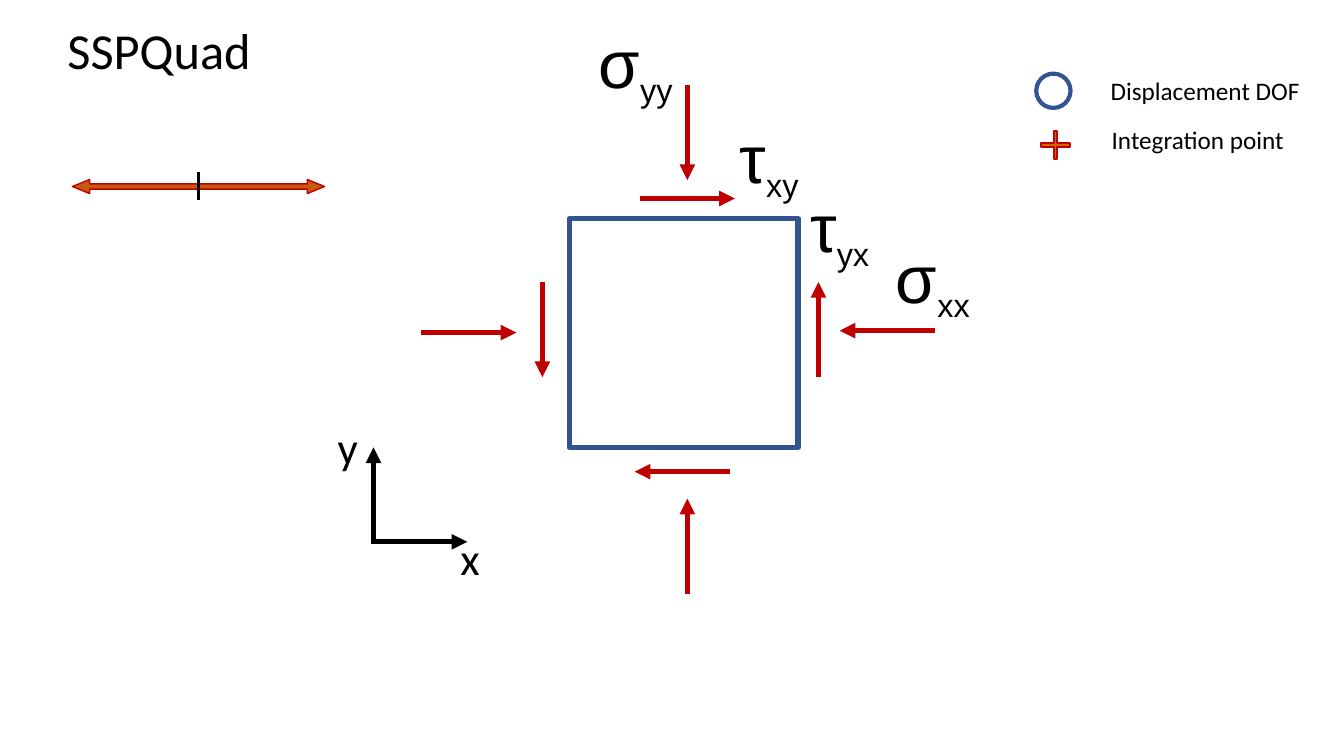
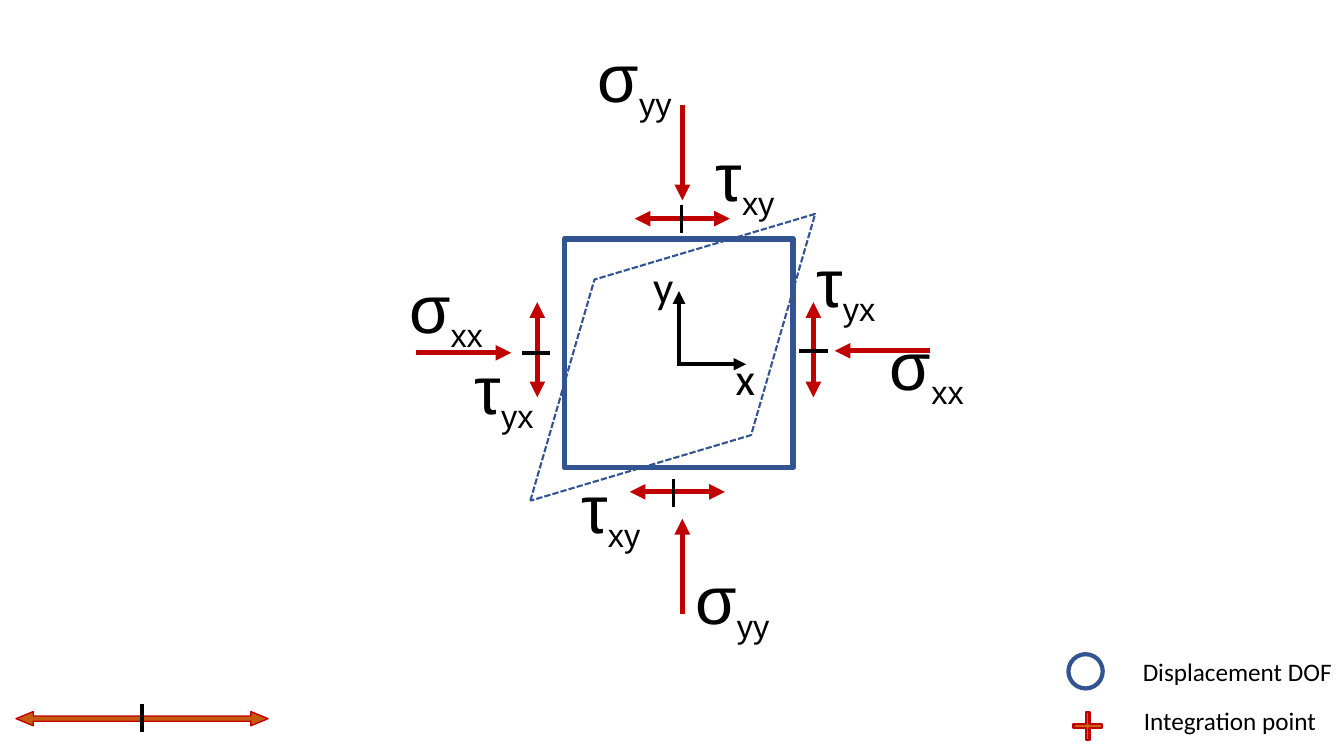
from dataclasses import dataclass

from lxml.etree import SubElement
from pptx import Presentation
from pptx.dml.color import RGBColor
from pptx.enum.dml import MSO_LINE
from pptx.enum.shapes import MSO_CONNECTOR, MSO_SHAPE as SHAPE
from pptx.enum.text import MSO_ANCHOR, MSO_AUTO_SIZE, PP_ALIGN
from pptx.oxml.ns import qn
from pptx.util import Pt


@dataclass(frozen=True)
class Theme:
    black: str = "000000"
    white: str = "FFFFFF"
    blue: str = "325491"
    red: str = "C00000"
    rust: str = "C55A11"
    orange: str = "CC6600"
    text_font: str = "Calibri"
    symbol_font: str = "Arial"
    title_size: int = 36
    axis_size: int = 32
    legend_size: int = 18
    symbol_size: int = 48
    subscript_size: int = 40
    stress_weight: float = 3.75
    tick_weight: float = 2.5


THEME = Theme()
TITLE_ONLY, BLANK = 5, 6
SIDE = 163.4
ARROW = 68
TICK = 20.2
SYMBOL_WIDTHS = {"σ": 70.6, "τ": 62.6}

RIGHT, LEFT, DOWN, UP = (1, 0), (-1, 0), (0, 1), (0, -1)
NORMAL_ARROWS = [
    (84.2, -95.5, DOWN), (84.2, 268, UP),
    (261, 80, LEFT), (-106, 81.4, RIGHT),
]
SHEAR_ARROWS = [
    (50.2, -14.4, RIGHT), (114.6, 180.7, LEFT),
    (-19.4, 45.2, DOWN), (177.8, 113.2, UP),
]

SLIDES = [
    {
        "title": "SSPQuad",
        "square": (406.8, 156.2),
        "legend": (740.2, 52.6),
        "gauge": (51.8, 128.2),
        "two_way_shear": False,
        "axes": {"corner": (266.8, 387), "lengths": (67, 67.5), "weight": 3.75,
                 "x": (321.8, 375.8), "y": (234, 296.6)},
        "stresses": [
            ("τ", "xy", 521.3, 79.2), ("σ", "xx", 632.9, 165.6),
            ("τ", "yx", 571.7, 128.9), ("σ", "yy", 420.5, 11.5),
        ],
        "ticks": [],
        "deformed": None,
    },
    {
        "title": None,
        "square": (403.2, 170.6),
        "legend": (763.2, 467.3),
        "gauge": (11.5, 508.3),
        "two_way_shear": True,
        "axes": {"corner": (485, 260.2), "lengths": (48, 52.2), "weight": 3,
                 "x": (518.4, 247), "y": (459.4, 181.4)},
        "stresses": [
            ("τ", "xy", 504, 92.2), ("σ", "xx", 628.6, 227.5),
            ("τ", "yx", 576, 167.8), ("σ", "yy", 419.8, 21.6),
            ("σ", "xx", 285.1, 186.5), ("τ", "yx", 331.9, 244.8),
            ("σ", "yy", 489.6, 394.6), ("τ", "xy", 408.2, 329.8),
        ],
        "ticks": [(486.7, 156.3, DOWN), (481, 352.1, DOWN),
                  (581, 250.6, RIGHT), (383, 252, RIGHT)],
        "deformed": (336.2, 176.4, 288.7, 157.7, 314.8),
    },
]


def rgb(value):
    return RGBColor.from_string(value)


def add_outline(page, kind, bounds, color, weight, fill=None):
    shape = page.shapes.add_shape(kind, *map(Pt, bounds))
    shape.shadow.inherit = False
    if fill:
        shape.fill.solid()
        shape.fill.fore_color.rgb = rgb(fill)
    else:
        shape.fill.background()
    shape.line.color.rgb = rgb(color)
    shape.line.width = Pt(weight)
    return shape


def add_line(page, start, end, color, weight, ends=()):
    line = page.shapes.add_connector(MSO_CONNECTOR.STRAIGHT, *map(Pt, (*start, *end)))
    line.line.color.rgb = rgb(color)
    line.line.width = Pt(weight)
    properties = line.element.spPr
    outline = properties.find(qn("a:ln"))
    for name in ends:
        SubElement(outline, qn(f"a:{name}"), type="triangle")
    SubElement(properties, qn("a:effectLst"))


def add_arrow(page, x, y, direction, length, color, weight, two_way=False):
    end = (x + direction[0] * length, y + direction[1] * length)
    ends = ("headEnd", "tailEnd") if two_way else ("tailEnd",)
    add_line(page, (x, y), end, color, weight, ends)


def add_tick(page, x, y, direction):
    dx, dy = (part * TICK / 2 for part in direction)
    add_line(page, (x - dx, y - dy), (x + dx, y + dy), THEME.black, THEME.tick_weight)


def style_font(font, name, size):
    font.name = name
    font.size = Pt(size)
    font.color.rgb = rgb(THEME.black)


def add_box(page, bounds):
    box = page.shapes.add_textbox(*map(Pt, bounds))
    box.text_frame.word_wrap = False
    box.text_frame.auto_size = MSO_AUTO_SIZE.SHAPE_TO_FIT_TEXT
    return box


def add_label(page, text, bounds, size):
    para = add_box(page, bounds).text_frame.paragraphs[0]
    para.text = text
    style_font(para.font, THEME.text_font, size)


def add_stress(page, symbol, subscript, left, top):
    box = add_box(page, (left, top, SYMBOL_WIDTHS[symbol], 65.5))
    para = box.text_frame.paragraphs[0]
    for text, size in ((symbol, THEME.symbol_size), (subscript, THEME.subscript_size)):
        span = para.add_run()
        span.text = text
        style_font(span.font, THEME.symbol_font, size)
    list(box.element.iter(qn("a:rPr")))[-1].set("baseline", "-25000")


def add_title(page, text):
    title = page.shapes.title
    title.left, title.top, title.width, title.height = map(Pt, (41, 10.1, 146.9, 51))
    frame = title.text_frame
    frame.text = text
    frame.word_wrap = False
    frame.auto_size = MSO_AUTO_SIZE.NONE
    frame.vertical_anchor = MSO_ANCHOR.TOP
    para = frame.paragraphs[0]
    para.alignment = PP_ALIGN.LEFT
    style_font(para.font, THEME.text_font, THEME.title_size)


def add_legend(page, left, top):
    add_outline(page, SHAPE.OVAL, (left, top, 24.5, 24.5), THEME.blue, 3, THEME.white)
    plus = add_outline(page, SHAPE.CROSS, (left + 3.6, top + 41, 20.2, 20.2),
                       THEME.red, 1.5, THEME.orange)
    plus.adjustments[0] = 0.434
    add_label(page, "Displacement DOF", (left + 46, top - 2.2, 151.2, 28.8), THEME.legend_size)
    add_label(page, "Integration point", (left + 46.8, top + 32.8, 139, 28.8), THEME.legend_size)


def add_gauge(page, left, top):
    width, height = 180, 10.1
    arrow = add_outline(page, SHAPE.LEFT_RIGHT_ARROW, (left, top, width, height),
                        THEME.red, 1, THEME.rust)
    arrow.adjustments[0], arrow.adjustments[1] = 0.369, 1.218
    add_tick(page, left + width / 2, top + height / 2 - 0.5, DOWN)


def add_axes(page, axes):
    x, y = axes["corner"]
    weight = axes["weight"]
    x_length, y_length = axes["lengths"]
    add_arrow(page, x - weight / 2, y, RIGHT, x_length + weight / 2, THEME.black, weight)
    add_arrow(page, x, y, UP, y_length, THEME.black, weight)
    for name in ("x", "y"):
        add_label(page, name, (*axes[name], 29, 46), THEME.axis_size)


def add_element(page, left, top, two_way_shear):
    add_outline(page, SHAPE.RECTANGLE, (left, top, SIDE, SIDE), THEME.blue, 4)
    for arrows, two_way in ((NORMAL_ARROWS, False), (SHEAR_ARROWS, two_way_shear)):
        for x, y, direction in arrows:
            add_arrow(page, left + x, top + y, direction, ARROW,
                      THEME.red, THEME.stress_weight, two_way)


def build_slide(deck, content):
    title = content["title"]
    page = deck.slides.add_slide(deck.slide_layouts[TITLE_ONLY if title else BLANK])
    if title:
        add_title(page, title)
    add_legend(page, *content["legend"])
    add_gauge(page, *content["gauge"])
    add_element(page, *content["square"], content["two_way_shear"])
    add_axes(page, content["axes"])
    for stress in content["stresses"]:
        add_stress(page, *stress)
    if content["deformed"]:
        *bounds, angle = content["deformed"]
        diamond = add_outline(page, SHAPE.DIAMOND, bounds, THEME.blue, 1.5)
        diamond.rotation = angle
        diamond.line.dash_style = MSO_LINE.SQUARE_DOT
    for tick in content["ticks"]:
        add_tick(page, *tick)


def main():
    deck = Presentation()
    deck.slide_width, deck.slide_height = Pt(960), Pt(540)
    for content in SLIDES:
        build_slide(deck, content)
    deck.save("out.pptx")


if __name__ == "__main__":
    main()
